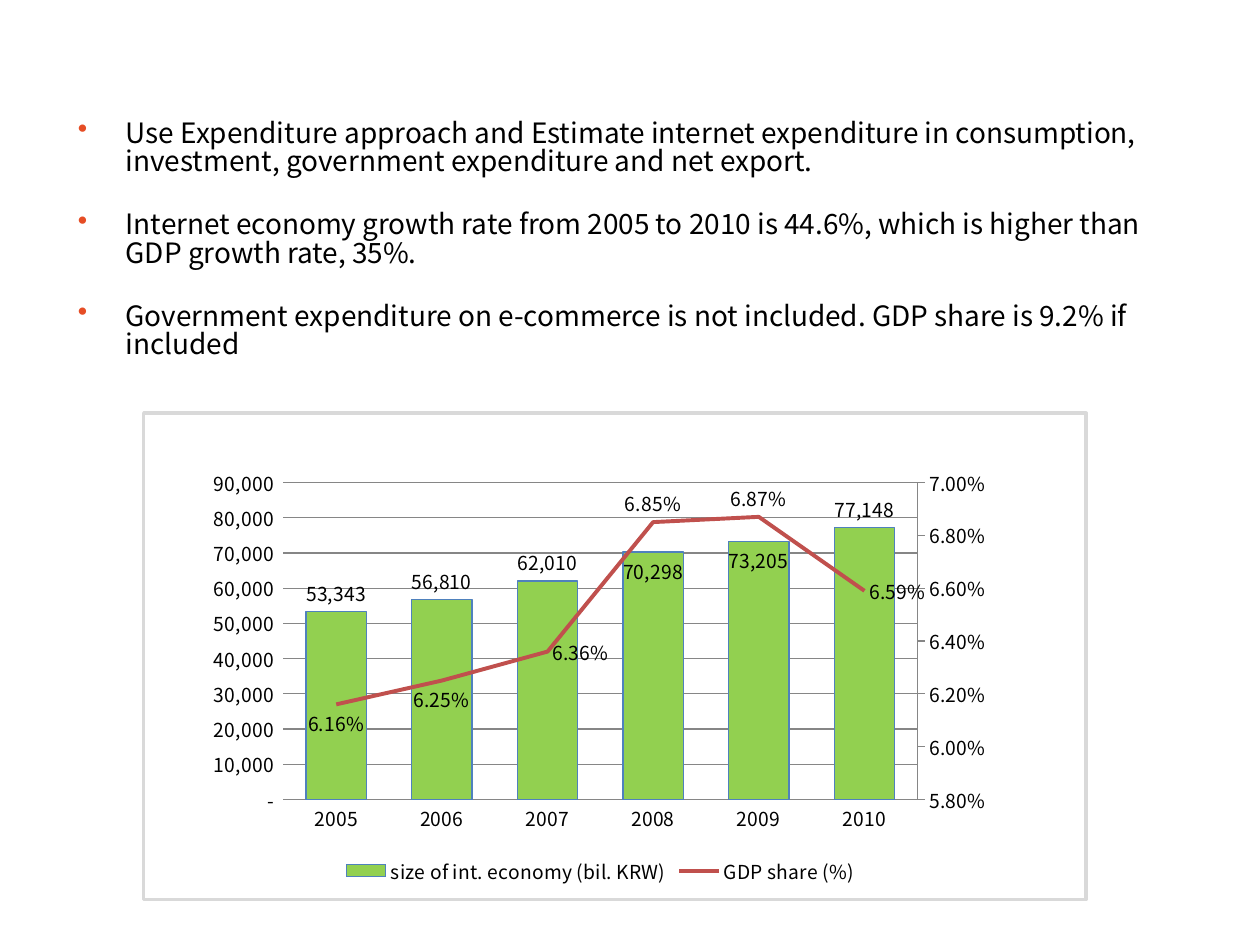
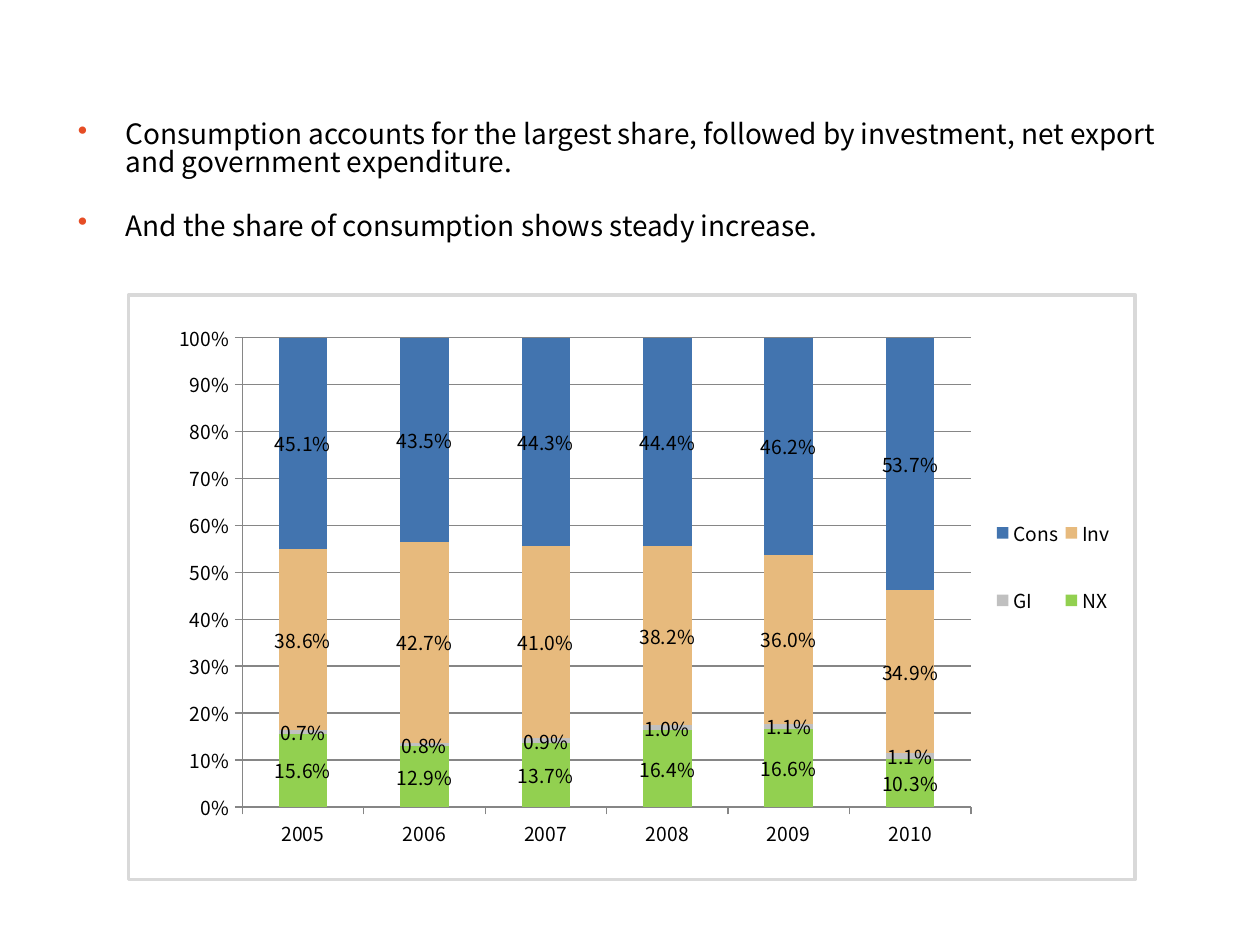
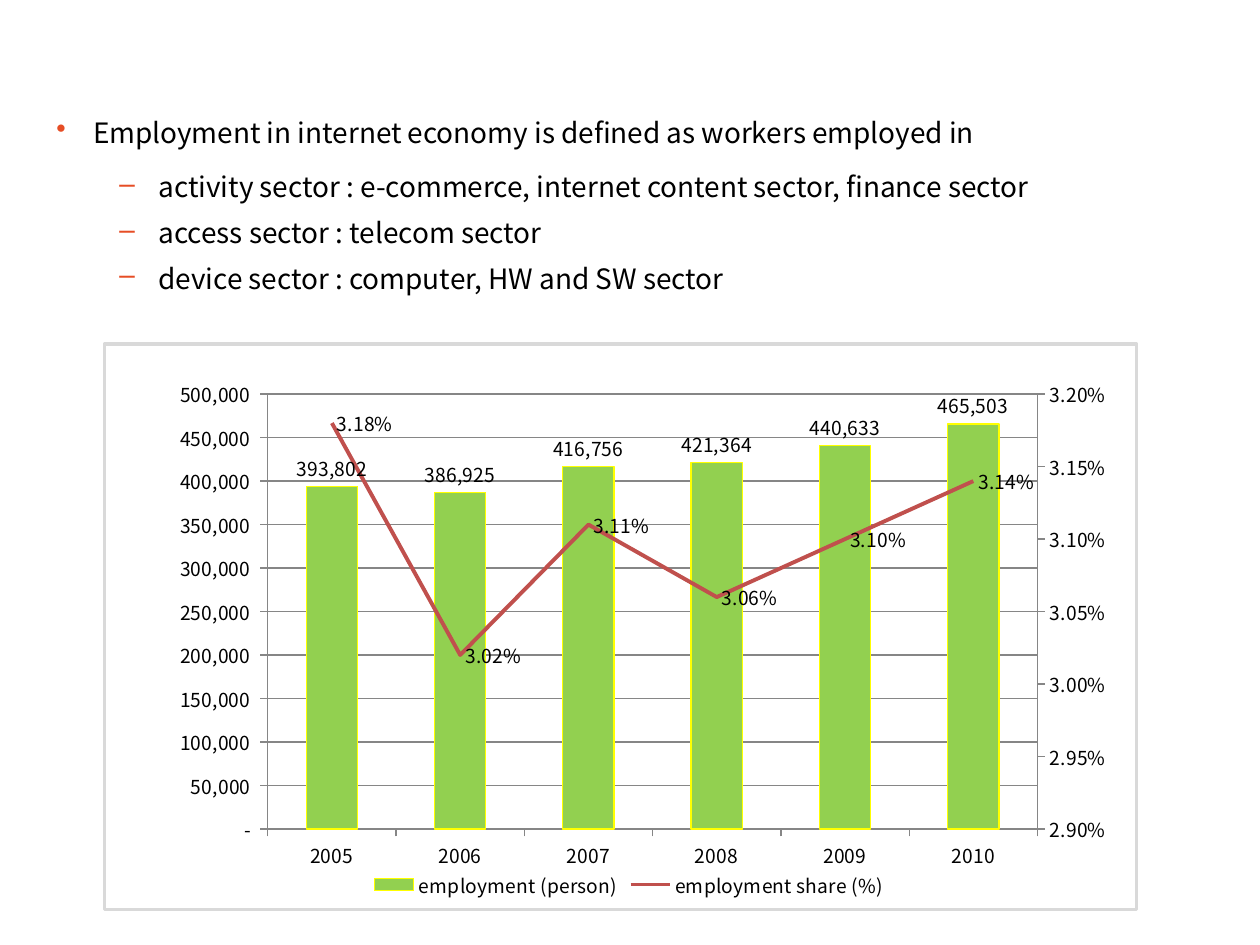
import dataclasses

import pptx
import pptx.chart.axis
import pptx.chart.data
import pptx.dml.color
import pptx.enum.chart
import pptx.enum.shapes
import pptx.oxml
import pptx.oxml.ns
import pptx.util
from pptx.util import Inches

XL = pptx.enum.chart
QN = pptx.oxml.ns.qn
C_NS = 'xmlns:c="http://schemas.openxmlformats.org/drawingml/2006/chart"'
A_NS = 'xmlns:a="http://schemas.openxmlformats.org/drawingml/2006/main"'


@dataclasses.dataclass(frozen=True)
class Theme:
    font: str = "Noto Sans CJK KR"
    text: str = "000000"
    bullet: str = "E64D25"
    paper: str = "FFFFFF"
    frame: str = "D9D9D9"
    axis: str = "868686"
    green: str = "92D050"
    grey: str = "C0C0C0"
    tan: str = "E7BA7D"
    blue: str = "4274AF"
    outline: str = "4F81BD"
    yellow: str = "FFFF00"
    red: str = "C0504D"
    body_size: int = 16
    chart_size: int = 11
    leading: float = 0.84


T = Theme()
YEARS = ["2005", "2006", "2007", "2008", "2009", "2010"]
COUNT = "#,##0"
COUNT_AXIS = '_(* #,##0_);_(* \\(#,##0\\);_(* "-"_);_(@_)'
SHARE = "0.00%"


def rgb(value):
    return pptx.dml.color.RGBColor.from_string(value)


def style_line(line, color, width):
    line.color.rgb = rgb(color)
    line.width = pptx.util.Pt(width)


def style_font(font, size):
    font.name = T.font
    font.size = pptx.util.Pt(size)
    font.color.rgb = rgb(T.text)


def add_frame(s, *box):
    sp = s.shapes.add_shape(pptx.enum.shapes.MSO_SHAPE.RECTANGLE, *map(Inches, box))
    sp.shadow.inherit = False
    sp.fill.solid()
    sp.fill.fore_color.rgb = rgb(T.paper)
    style_line(sp.line, T.frame, 2)


def add_bullet(p, text, level, margin, hanging):
    p.level = level
    p.line_spacing = T.leading
    p.space_before = p.space_after = pptx.util.Pt(5 if level else 10)
    pPr = p._p.get_or_add_pPr()
    pPr.set("marL", str(Inches(margin)))
    pPr.set("indent", str(-Inches(hanging)))
    char = "\u2013" if level else "\u2022"
    pPr.append(pptx.oxml.parse_xml(
        f'<a:buClr {A_NS}><a:srgbClr val="{T.bullet}"/></a:buClr>'))
    pPr.append(pptx.oxml.parse_xml(f'<a:buChar {A_NS} char="{char}"/>'))
    r = p.add_run()
    r.text = text
    style_font(r.font, T.body_size)


def add_bullets(s, box, texts, indent=0.38, subtexts=()):
    tf = s.shapes.add_textbox(*map(Inches, box)).text_frame
    tf.word_wrap = True
    items = [(text, 0, indent, indent) for text in texts]
    items += [(text, 1, 0.81, 0.31) for text in subtexts]
    for i, item in enumerate(items):
        p = tf.add_paragraph() if i else tf.paragraphs[0]
        add_bullet(p, *item)


def layout_xml(box, inner=False):
    target = '<c:layoutTarget val="inner"/>' if inner else ""
    modes = '<c:xMode val="edge"/><c:yMode val="edge"/>'
    sizes = "".join(f'<c:{k} val="{v}"/>' for k, v in zip("xywh", box))
    return pptx.oxml.parse_xml(
        f"<c:layout {C_NS}><c:manualLayout>{target}{modes}{sizes}"
        "</c:manualLayout></c:layout>")


def drop(parent, tag):
    for child in parent.findall(QN(tag)):
        parent.remove(child)


def place_plot(chart, box):
    area = chart._chartSpace.chart.plotArea
    drop(area, "c:layout")
    area.insert(0, layout_xml(box, inner=True))


def place_legend(chart, box):
    legend = chart.legend._element
    drop(legend, "c:layout")
    legend.find(QN("c:legendPos")).addnext(layout_xml(box))


def style_axis(axis, ticks=True):
    mark = XL.XL_TICK_MARK
    axis.major_tick_mark = mark.OUTSIDE if ticks else mark.NONE
    axis.minor_tick_mark = mark.NONE
    style_line(axis.format.line, T.axis, 0.75)


def style_value_axis(axis, low, high, step, fmt, ticks=True, grid=True):
    style_axis(axis, ticks)
    axis.minimum_scale, axis.maximum_scale, axis.major_unit = low, high, step
    axis.tick_labels.number_format = fmt
    axis.tick_labels.number_format_is_linked = False
    axis.has_major_gridlines = grid
    if grid:
        style_line(axis.major_gridlines.format.line, T.axis, 0.75)


def label_values(series, fmt, position, exceptions=None):
    labels = series.data_labels
    labels.show_value = True
    labels.number_format = fmt
    labels.number_format_is_linked = False
    labels.position = position
    for i, place in (exceptions or {}).items():
        series.points[i].data_label.position = place


def fill_series(series, color, outline=None):
    series.format.fill.solid()
    series.format.fill.fore_color.rgb = rgb(color)
    if outline:
        style_line(series.format.line, outline, 0.75)


def add_column_chart(s, box, kind, series, plot, legend, gap):
    data = pptx.chart.data.CategoryChartData()
    data.categories = YEARS
    for name, values, fmt in series:
        data.add_series(name, values, fmt)
    chart = s.shapes.add_chart(kind, *map(Inches, box), data).chart
    style_font(chart.font, T.chart_size)
    chart.has_title = False
    chart.has_legend = True
    chart.legend.position = legend
    chart.legend.include_in_layout = False
    chart.plots[0].gap_width = gap
    chart.plots[0].vary_by_categories = False
    place_plot(chart, plot)
    return chart


def move_to_right_axis(chart):
    bars = chart.plots[0]
    ser = bars.series[1]._element
    drop(ser, "c:invertIfNegative")
    ids = '<c:axId val="50010"/><c:axId val="50020"/>'
    lines = pptx.oxml.parse_xml(
        f'<c:lineChart {C_NS}><c:grouping val="standard"/><c:varyColors val="0"/>'
        f'<c:marker val="1"/>{ids}</c:lineChart>')
    lines.find(QN("c:marker")).addprevious(ser)
    bars._element.addnext(lines)

    def axis_xml(tag, own, other, hidden, side, crosses):
        return pptx.oxml.parse_xml(
            f'<c:{tag} {C_NS}><c:axId val="{own}"/>'
            '<c:scaling><c:orientation val="minMax"/></c:scaling>'
            f'<c:delete val="{hidden}"/><c:axPos val="{side}"/>'
            '<c:tickLblPos val="nextTo"/>'
            f'<c:crossAx val="{other}"/><c:crosses val="{crosses}"/></c:{tag}>')

    right = axis_xml("valAx", 50020, 50010, 0, "r", "max")
    hidden = axis_xml("catAx", 50010, 50020, 1, "b", "autoZero")
    chart.value_axis._element.addnext(right)
    right.addnext(hidden)
    return chart.plots[1].series[0], pptx.chart.axis.ValueAxis(right)


def add_combined_chart(s, box, bars, shares, plot, left, right, outline,
                       gap=150, ticks=True, bar_labels=None, share_labels=None):
    chart = add_column_chart(
        s, box, XL.XL_CHART_TYPE.COLUMN_CLUSTERED,
        [(*bars, COUNT), (*shares, SHARE)], plot, XL.XL_LEGEND_POSITION.BOTTOM, gap)
    style_axis(chart.category_axis, ticks)
    style_value_axis(chart.value_axis, *left, COUNT_AXIS, ticks)
    if not ticks:
        chart.value_axis.format.line.fill.background()
    line, right_axis = move_to_right_axis(chart)
    style_value_axis(right_axis, *right, SHARE, grid=False)
    columns = chart.plots[0].series[0]
    fill_series(columns, T.green, outline)
    place = XL.XL_LABEL_POSITION
    label_values(columns, COUNT, place.OUTSIDE_END, bar_labels)
    style_line(line.format.line, T.red, 2.25)
    line.marker.style = XL.XL_MARKER_STYLE.NONE
    line.smooth = False
    label_values(line, SHARE, place.RIGHT, share_labels)


def economy_size_slide(s):
    add_frame(s, 1.14, 3.28, 7.48, 3.86)
    add_bullets(s, (0.52, 0.91, 9.03, 2.37), [
        "Use Expenditure approach and Estimate internet expenditure in consumption, "
        "investment, government expenditure and net export.",
        "Internet economy growth rate from 2005 to 2010 is 44.6%, which is higher "
        "than GDP growth rate, 35%.",
        "Government expenditure on e-commerce is not included. GDP share is 9.2% "
        "if included"])
    place = XL.XL_LABEL_POSITION
    add_combined_chart(
        s, (1.54, 3.66, 6.45, 3.4),
        ("size of int. economy (bil. KRW)", [53343, 56810, 62010, 70298, 73205, 77148]),
        ("GDP share (%)", [0.0616, 0.0625, 0.0636, 0.0685, 0.0687, 0.0659]),
        plot=(0.11, 0.05, 0.78, 0.74),
        left=(0, 90000, 10000), right=(0.058, 0.07, 0.002),
        outline=T.outline, gap=75, ticks=False,
        bar_labels={3: place.INSIDE_END, 4: place.INSIDE_END},
        share_labels={0: place.BELOW, 1: place.BELOW, 3: place.ABOVE, 4: place.ABOVE})


def composition_slide(s):
    add_frame(s, 1.02, 2.34, 7.99, 4.64)
    add_bullets(s, (0.52, 0.92, 9.06, 1.33), [
        "Consumption accounts for the largest share, followed by investment, "
        "net export and government expenditure.",
        "And the share of consumption shows steady increase."])
    parts = [
        ("NX", T.green, [0.156, 0.129, 0.137, 0.164, 0.166, 0.103]),
        ("GI", T.grey, [0.007, 0.008, 0.009, 0.01, 0.011, 0.011]),
        ("Inv", T.tan, [0.386, 0.427, 0.41, 0.382, 0.36, 0.349]),
        ("Cons", T.blue, [0.451, 0.435, 0.443, 0.444, 0.462, 0.537])]
    chart = add_column_chart(
        s, (1.23, 2.41, 7.71, 4.49), XL.XL_CHART_TYPE.COLUMN_STACKED_100,
        [(name, values, "0.0%") for name, _, values in parts],
        (0.09, 0.06, 0.75, 0.83), XL.XL_LEGEND_POSITION.RIGHT, 150)
    chart.plots[0].overlap = 100
    place_legend(chart, (0.86, 0.31, 0.13, 0.31))
    style_axis(chart.category_axis)
    style_value_axis(chart.value_axis, 0, 1, 0.1, "0%")
    for series, (_, color, _) in zip(chart.plots[0].series, parts):
        fill_series(series, color)
        label_values(series, "0.0%", XL.XL_LABEL_POSITION.CENTER)


def employment_slide(s):
    add_frame(s, 0.83, 2.73, 8.19, 4.49)
    add_bullets(
        s, (0.35, 0.91, 9.53, 1.89),
        ["Employment in internet economy is defined as workers employed in "],
        indent=0.29,
        subtexts=["activity sector : e-commerce, internet content sector, finance sector",
                  "access sector : telecom sector",
                  "device sector : computer, HW and SW sector"])
    add_combined_chart(
        s, (1.22, 2.96, 7.56, 4.21),
        ("employment (person)", [393802, 386925, 416756, 421364, 440633, 465503]),
        ("employment share (%)", [0.0318, 0.0302, 0.0311, 0.0306, 0.031, 0.0314]),
        plot=(0.12, 0.04, 0.81, 0.82),
        left=(0, 500000, 50000), right=(0.029, 0.032, 0.0005),
        outline=T.yellow)


def main():
    prs = pptx.Presentation()
    prs.slide_width, prs.slide_height = Inches(10), Inches(7.5)
    for build in (economy_size_slide, composition_slide, employment_slide):
        build(prs.slides.add_slide(prs.slide_layouts[6]))
    prs.save("out.pptx")


main()
